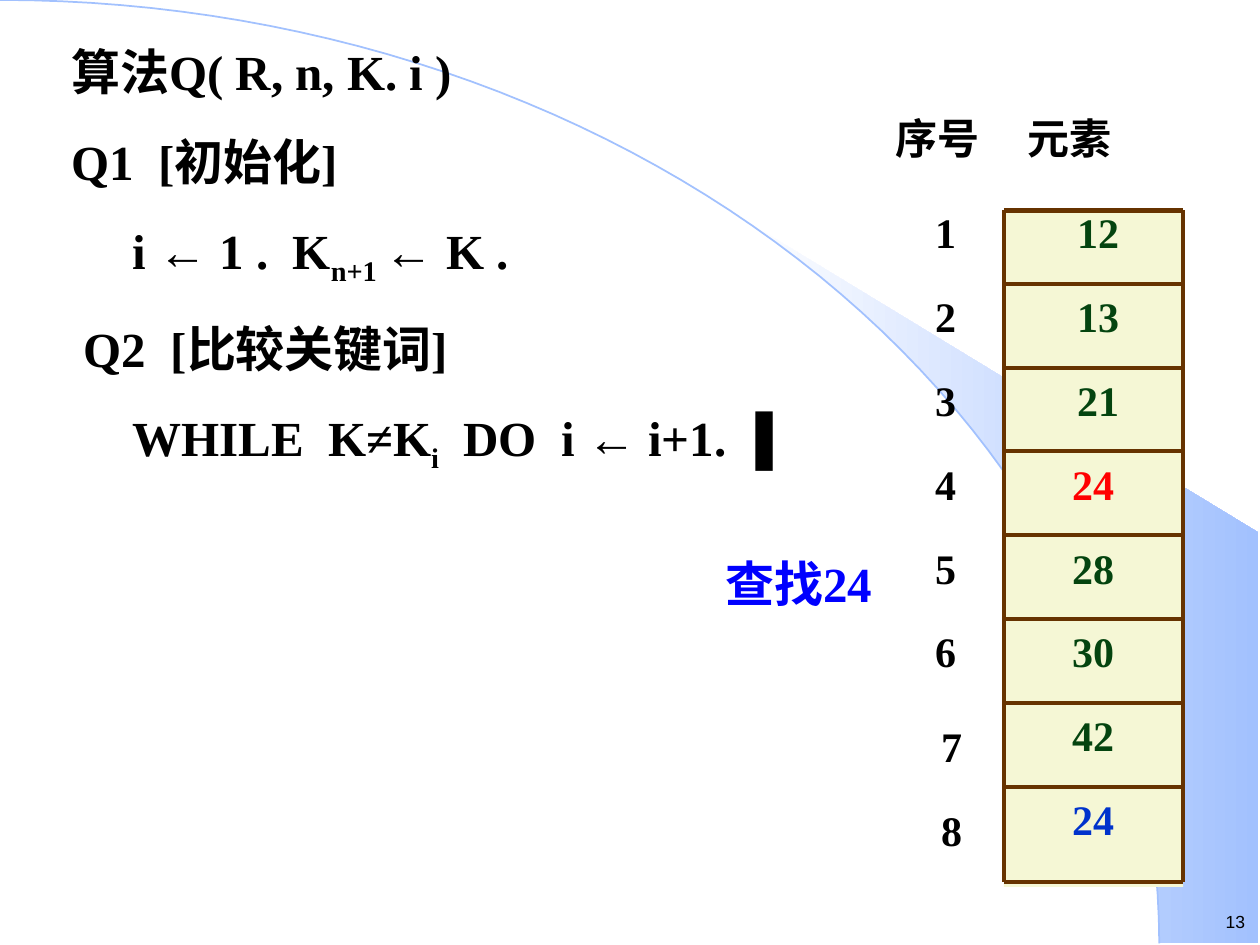
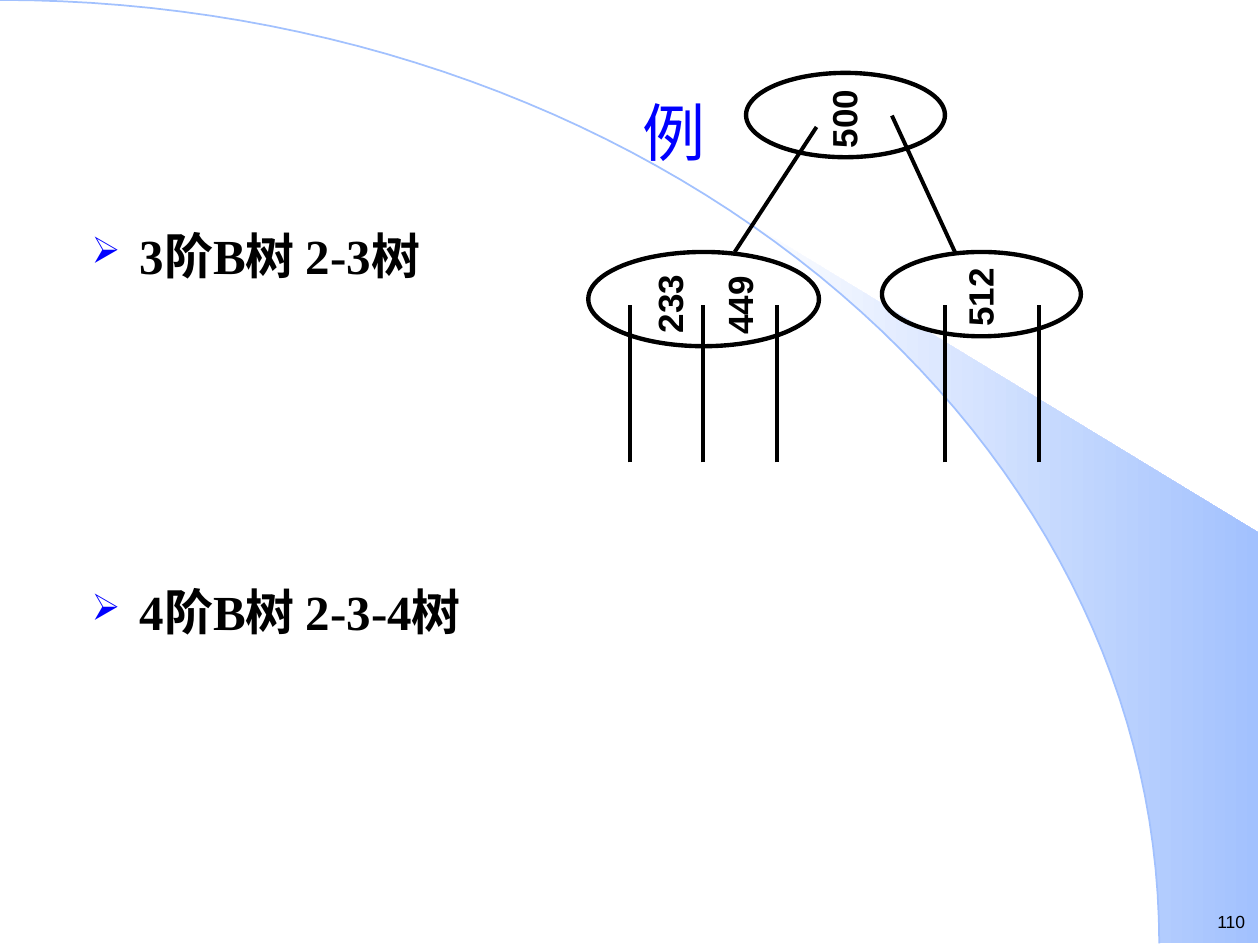
import math

import pptx
import pptx.dml.color
import pptx.enum.shapes
import pptx.enum.text
import pptx.oxml
import pptx.oxml.ns
import pptx.util
from lxml import etree

Cm = pptx.util.Cm
Pt = pptx.util.Pt
ALIGN = pptx.enum.text.PP_ALIGN
ANCHOR = pptx.enum.text.MSO_ANCHOR
SHAPE = pptx.enum.shapes.MSO_SHAPE
STRAIGHT = pptx.enum.shapes.MSO_CONNECTOR.STRAIGHT
qn = pptx.oxml.ns.qn

WIDTH, HEIGHT = 25.4, 19.05
SERIF, SANS = "Times New Roman", "Arial"
BLACK, WHITE, BLUE, SKY = "000000", "FFFFFF", "0000FF", "A2C1FE"
CELL, BORDER, GREEN, RED, SENTINEL = "F5F7D5", "663300", "04440F", "FF0000", "0033CC"


def rgb(value):
    return pptx.dml.color.RGBColor.from_string(value)


def add_run(p, text, size, font=SERIF, color=BLACK, bold=True, subscript=False):
    r = p.add_run()
    r.text = text
    r.font.size = Pt(size)
    r.font.name = font
    r.font.bold = bold
    r.font.color.rgb = rgb(color)
    if subscript:
        r._r.get_or_add_rPr().set("baseline", "-25000")


def add_box(s, x, y, w, h, anchor=ANCHOR.TOP, margins=(0.25, 0.13)):
    sp = s.shapes.add_textbox(Cm(x), Cm(y), Cm(w), Cm(h))
    tf = sp.text_frame
    tf.word_wrap = True
    tf.vertical_anchor = anchor
    tf.margin_left = tf.margin_right = Cm(margins[0])
    tf.margin_top = tf.margin_bottom = Cm(margins[1])
    return sp


def add_label(s, box, text, size, align=ALIGN.CENTER, anchor=ANCHOR.TOP,
              margins=(0.25, 0.13), **style):
    sp = add_box(s, *box, anchor, margins)
    p = sp.text_frame.paragraphs[0]
    p.alignment = align
    add_run(p, text, size, **style)
    return sp


def add_line(s, x1, y1, x2, y2, color, width):
    line = s.shapes.add_connector(STRAIGHT, Cm(x1), Cm(y1), Cm(x2), Cm(y2))
    line.line.color.rgb = rgb(color)
    line.line.width = Pt(width)
    etree.SubElement(line._element.spPr, qn("a:effectLst"))


def set_indent(p, left, first=0):
    pPr = p._p.get_or_add_pPr()
    pPr.set("marL", str(Cm(left)))
    pPr.set("indent", str(Cm(first)))
    return pPr


def add_outline(s, points, close):
    points = [(Cm(x), Cm(y)) for x, y in points]
    builder = s.shapes.build_freeform(*points[0])
    builder.add_line_segments(points[1:], close=close)
    sp = builder.convert_to_shape()
    sp.shadow.inherit = False
    return sp


def arc_points(start, rx=23.37, ry=19.02, steps=60):
    angles = [start + (math.pi / 2 - start) * i / steps for i in range(steps + 1)]
    return [(rx * math.sin(a), ry * (1 - math.cos(a))) for a in angles]


def add_backdrop(s, number):
    s.background.fill.solid()
    s.background.fill.fore_color.rgb = rgb(WHITE)
    fan = add_outline(s, arc_points(math.asin(0.64)) + [(25.37, 19.02), (25.37, 10.74)], True)
    fan.fill.gradient()
    fan.fill.gradient_angle = 0
    for stop, position, color in zip(fan.fill.gradient_stops, (0, 1), (WHITE, SKY)):
        stop.position = position
        stop.color.rgb = rgb(color)
    fan.line.fill.background()
    arc = add_outline(s, arc_points(0), False)
    arc.fill.background()
    arc.line.color.rgb = rgb(SKY)
    arc.line.width = Pt(1)
    add_label(s, (23.9, 18.24, 1.25, 0.68), number, 10, ALIGN.RIGHT,
              margins=(0.05, 0.13), font=SANS, bold=False)


def add_algorithm(s, x, y, w, h):
    arrow, sub = {"font": SANS}, {"subscript": True}
    steps = [
        (0, [("算法Q( R, n, K. i )", {})]),
        (0, [("Q1  [初始化]", {})]),
        (1.23, [("i ", {}), ("←", arrow), (" 1 .  K", {}), ("n+1 ", sub),
                ("← ", arrow), ("K .", {})]),
        (0.25, [("Q2  [比较关键词]", {})]),
        (1.23, [("WHILE  K≠K", {}), ("i", sub), ("  DO  i ", {}), ("←", arrow),
                (" i+1. ▐", {})]),
    ]
    tf = add_box(s, x, y, w, h).text_frame
    for i, (indent, runs) in enumerate(steps):
        p = tf.add_paragraph() if i else tf.paragraphs[0]
        set_indent(p, indent)
        p.space_before = Pt(17.5 if i else 0)
        for text, style in runs:
            add_run(p, text, 28, **style)


def add_array(s, x, y, w, h):
    pitch, first_rule = 1.69, 1.48
    sp = s.shapes.add_shape(SHAPE.RECTANGLE, Cm(x), Cm(y), Cm(w), Cm(h + 0.1))
    sp.shadow.inherit = False
    sp.fill.solid()
    sp.fill.fore_color.rgb = rgb(CELL)
    sp.line.fill.background()
    for side in (x, x + w):
        add_line(s, side, y, side, y + h, BORDER, 2.5)
    for edge in (y, y + h):
        add_line(s, x, edge, x + w, edge, BORDER, 2.5)
    for i in range(7):
        rule = y + first_rule + pitch * i
        add_line(s, x, rule, x + w, rule, BORDER, 2.25)

    header = add_box(s, x - 2.43, y - 2.11, 5.6, 1.27)
    p = header.text_frame.paragraphs[0]
    tabs = etree.SubElement(p._p.get_or_add_pPr(), qn("a:tabLst"))
    etree.SubElement(tabs, qn("a:tab"), pos=str(Cm(2.66)), algn="l")
    add_run(p, "序号\t元素", 24)

    elements = [12, 13, 21, 24, 28, 30, 42, 24]
    colors = {3: RED, 7: SENTINEL}
    for i, element in enumerate(elements):
        top = y - 0.2 + pitch * i
        index_width, drop = (1.7, 0.21) if i > 5 else (1.47, 0)
        add_label(s, (x - 1.9, top + drop, index_width, 1.27), str(i + 1), 24)
        shift = 0.09 if i < 3 else 0
        add_label(s, (x + shift, top, w, 1.27), str(element), 24,
                  color=colors.get(i, GREEN))
    add_label(s, (x - 6.14, y + 6.78, 4.01, 1.45), "查找24", 28, color=BLUE)


def add_tree_orders(s, x, y, w, h):
    tf = add_box(s, x, y, w, h).text_frame
    for i, text in enumerate(("3阶B树 2-3树", "4阶B树 2-3-4树")):
        p = tf.add_paragraph() if i else tf.paragraphs[0]
        pPr = set_indent(p, 0.97, -0.97)
        color = etree.SubElement(pPr, qn("a:buClr"))
        etree.SubElement(color, qn("a:srgbClr"), val=BLUE)
        etree.SubElement(pPr, qn("a:buSzPct"), val="75000")
        etree.SubElement(pPr, qn("a:buChar"), char="➢")
        p.space_before = Pt(170 if i else 0)
        add_run(p, text, 28)


def add_b_tree(s, x, y):
    nodes = [(3.18, 0, 4.01, 1.7), (0, 3.61, 4.65, 1.9), (5.92, 3.61, 4.01, 1.7)]
    keys = [("500", 5.14, 0.93), ("233", 1.63, 4.66), ("449", 3.04, 4.69), ("512", 7.89, 4.53)]
    branches = [(2.95, 3.61, 4.6, 1.09), (7.39, 3.61, 6.12, 0.86)]
    pointers = [(px, 7.85, px, 4.67) for px in (0.84, 2.31, 3.81, 7.19, 9.09)]
    key_w, key_h = 1.44, 0.8
    for x1, y1, x2, y2 in branches + pointers:
        add_line(s, x + x1, y + y1, x + x2, y + y2, BLACK, 2.25)
    for left, top, w, h in nodes:
        sp = s.shapes.add_shape(SHAPE.OVAL, Cm(x + left), Cm(y + top), Cm(w), Cm(h))
        sp.shadow.inherit = False
        sp.fill.background()
        sp.line.color.rgb = rgb(BLACK)
        sp.line.width = Pt(2.5)
    for key, cx, cy in keys:
        box = (x + cx - key_w / 2, y + cy - key_h / 2, key_w, key_h)
        sp = add_label(s, box, key, 20, anchor=ANCHOR.MIDDLE, margins=(0, 0), font=SANS)
        sp.rotation = 270


def search_slide(prs):
    s = prs.slides.add_slide(prs.slide_layouts[6])
    add_backdrop(s, "13")
    add_algorithm(s, 1.19, 0.71, 15.8, 9.3)
    add_array(s, 20.24, 4.24, 3.61, 13.54)


def b_tree_slide(prs):
    s = prs.slides.add_slide(prs.slide_layouts[6])
    add_backdrop(s, "110")
    add_label(s, (2.69, 0.53, 21.79, 3), "例", 36, anchor=ANCHOR.BOTTOM,
              color=BLUE, bold=False)
    add_tree_orders(s, 1.6, 4.42, 22.81, 12.12)
    add_b_tree(s, 11.86, 1.47)


def main():
    prs = pptx.Presentation()
    prs.slide_width, prs.slide_height = Cm(WIDTH), Cm(HEIGHT)
    search_slide(prs)
    b_tree_slide(prs)
    prs.save("out.pptx")


if __name__ == "__main__":
    main()
